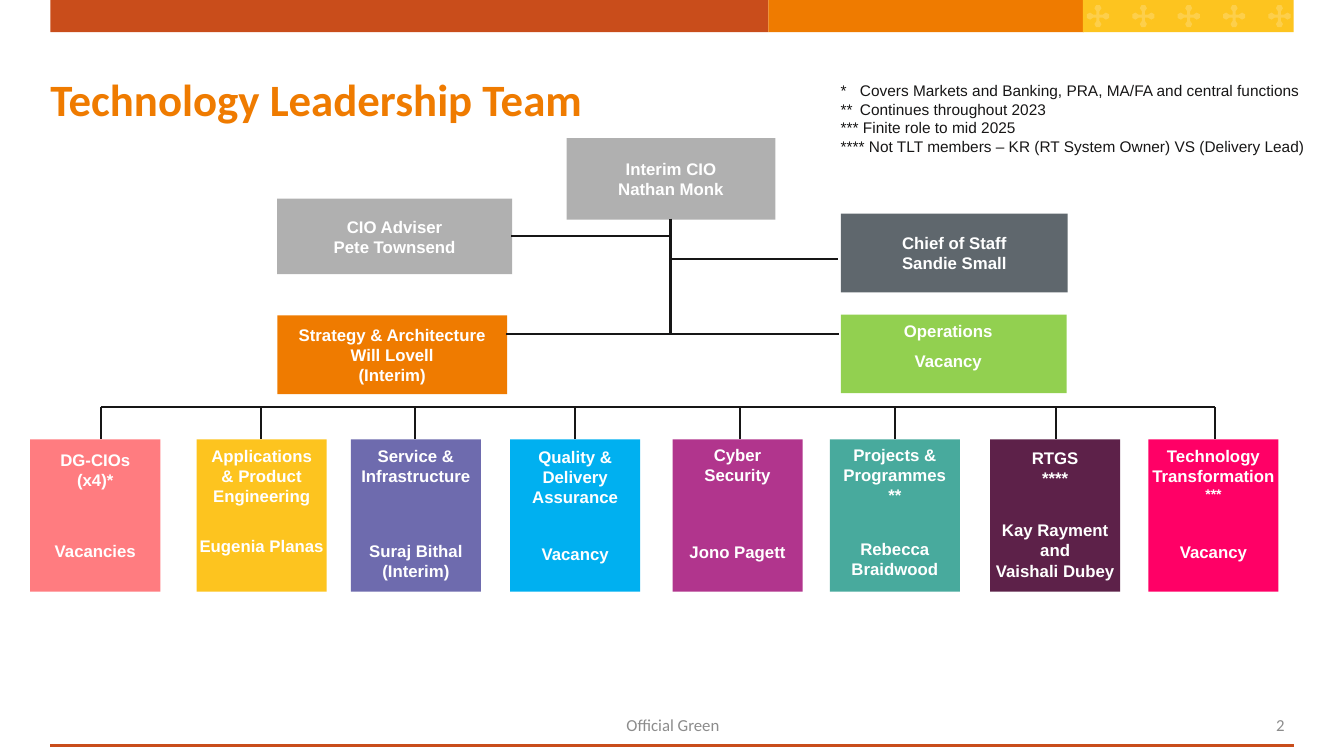
from math import cos, sin, radians
from lxml.etree import SubElement
from pptx import Presentation
from pptx.dml.color import RGBColor
from pptx.enum.shapes import MSO_CONNECTOR, MSO_SHAPE
from pptx.enum.text import MSO_ANCHOR, PP_ALIGN
from pptx.oxml.ns import qn
from pptx.util import Inches, Pt

# Content
TITLE = "Technology Leadership Team"
FOOTER = "Official Green"
NUMBER = "2"
NOTES = [
    "*\tCovers Markets and Banking, PRA, MA/FA and central functions",
    "**\tContinues throughout 2023",
    "*** Finite role to mid 2025",
    "**** Not TLT members – KR (RT System Owner) VS (Delivery Lead)",
]
BANDS = [(0.5, 7.12, "C94D1B"), (7.62, 3.13, "EF7B00"), (10.74, 2.09, "FDC41F")]

# Leaders: left, top, width, height, fill, lines
LEADERS = [
    (5.62, 1.37, 2.07, 0.81, "B0B0B0", ["Interim CIO", "Nathan Monk"]),
    (2.75, 1.97, 2.33, 0.75, "B0B0B0", ["CIO Adviser", "Pete Townsend"]),
    (8.34, 2.12, 2.25, 0.78, "5F676D", ["Chief of Staff", "Sandie Small"]),
    (2.75, 3.13, 2.28, 0.78, "EF7B00",
     ["Strategy & Architecture", "Will Lovell", "(Interim)"]),
]

# Teams: left, drop line, fill, text inset, gap in points, role, names
TEAMS = [
    (0.3, 1.0, "FF7C80", 0.1, 36, ["DG-CIOs", "(x4)*"], ["Vacancies"]),
    (1.95, 2.59, "FDC41F", 0.06, 21,
     ["Applications", "& Product", "Engineering"], ["Eugenia Planas"]),
    (3.48, 4.12, "6E6BAE", 0.06, 39,
     ["Service &", "Infrastructure"], ["Suraj Bithal", "(Interim)"]),
    (5.06, 5.7, "00B0F0", 0.07, 26,
     ["Quality &", "Delivery", "Assurance"], ["Vacancy"]),
    (6.67, 7.34, "B1358D", 0.05, 41, ["Cyber", "Security"], ["Jono Pagett"]),
    (8.23, 8.88, "48AA9D", 0.05, 24,
     ["Projects &", "Programmes", "**"], ["Rebecca", "Braidwood"]),
    (9.82, 10.47, "5D2149", 0.08, 23,
     ["RTGS", "****"], ["Kay Rayment", "and", "Vaishali Dubey"]),
    (11.39, 12.05, "FF0066", 0.06, 28,
     ["Technology", "Transformation", "***"], ["Vacancy"]),
]
TEAM_TOP, TEAM_W, TEAM_H, BUS = 4.36, 1.29, 1.51, 4.04

# Links between the leaders: x1, y1, x2, y2
STEM = 6.65
LINKS = [
    (STEM, 2.17, STEM, 3.31),
    (5.07, 2.34, STEM, 2.34),
    (STEM, 2.57, 8.31, 2.57),
    (5.02, 3.31, 8.32, 3.31),
]

deck = Presentation()
deck.slide_width, deck.slide_height = Inches(13.33), Inches(7.5)
slide = deck.slides.add_slide(deck.slide_layouts[6])
shapes = slide.shapes


def paint(target, color):
    target.solid()
    target.fore_color.rgb = RGBColor.from_string(color)


def write(shape, lines, size, color, font="Arial", bold=False,
          align=PP_ALIGN.LEFT, anchor=MSO_ANCHOR.MIDDLE, inset=(0, 0, 0, 0)):
    frame = shape.text_frame
    frame.word_wrap = True
    frame.vertical_anchor = anchor
    (frame.margin_left, frame.margin_top,
     frame.margin_right, frame.margin_bottom) = map(Inches, inset)
    frame.text = "\n".join(lines)
    for para in frame.paragraphs:
        para.alignment = align
        for run in para.runs:
            run.font.name, run.font.size, run.font.bold = font, Pt(size), bold
            run.font.color.rgb = RGBColor.from_string(color)
    return frame.paragraphs


def label(left, top, width, height, lines, *args, **opts):
    box = shapes.add_textbox(*map(Inches, (left, top, width, height)))
    return write(box, lines, *args, **opts)


def block(left, top, width, height, color):
    box = shapes.add_shape(MSO_SHAPE.RECTANGLE,
                           *map(Inches, (left, top, width, height)))
    box.shadow.inherit = False
    paint(box.fill, color)
    box.line.fill.background()
    return box


def card(box, lines, **opts):
    return write(box, lines, 12, "FFFFFF", bold=True,
                 align=PP_ALIGN.CENTER, **opts)


def rule(x1, y1, x2, y2, color="171616", width=1.5):
    line = shapes.add_connector(MSO_CONNECTOR.STRAIGHT,
                                *map(Inches, (x1, y1, x2, y2)))
    paint(line.line.fill, color)
    line.line.width = Pt(width)
    SubElement(line._element.spPr, qn("a:effectLst"))


def cross(mid_x, mid_y):
    # Four round lobes at the ends of two thin bars
    spots = []
    for turn in range(0, 360, 90):
        c, s = cos(radians(turn)), sin(radians(turn))
        arm = [(0.08 + 0.035 * cos(radians(a)), 0.035 * sin(radians(a)))
               for a in range(-155, 156, 62)] + [(0.015, 0.015)]
        spots += [(Inches(mid_x + x * c - y * s), Inches(mid_y + x * s + y * c))
                  for x, y in arm]
    path = shapes.build_freeform(*spots[0])
    path.add_line_segments(spots[1:], close=True)
    shape = path.convert_to_shape()
    shape.shadow.inherit = False
    paint(shape.fill, "FFFFFF")
    shape.line.fill.background()
    tint = shape._element.spPr.find(qn("a:solidFill"))[0]
    SubElement(tint, qn("a:alpha"), val="20000")


# Header band and footer
for left, width, color in BANDS:
    block(left, 0, width, 0.32, color)
for i in range(5):
    cross(10.89 + 0.45 * i, 0.16)
rule(0.5, 7.4, 12.83, 7.4, "C94D1B", 2.25)
label(3.34, 6.98, 6.67, 0.42, [FOOTER], 12, "8C8C8C", "Calibri",
      align=PP_ALIGN.CENTER)
label(11.67, 6.98, 1.17, 0.42, [NUMBER], 12, "8C8C8C", "Calibri",
      align=PP_ALIGN.RIGHT, inset=(0, 0, 0.1, 0))

# Title and notes
label(0.5, 0.48, 12.33, 1, [TITLE], 32, "EF7B00", "Calibri", True)
notes = label(8.24, 0.76, 4.96, 0.84, NOTES, 11, "171616",
              anchor=MSO_ANCHOR.TOP, inset=(0.1, 0.05, 0, 0.05))
for para in notes[:2]:
    tabs = SubElement(para._p.get_or_add_pPr(), qn("a:tabLst"))
    SubElement(tabs, qn("a:tab"), pos=str(Inches(0.19)), algn="l")

# Leaders
for *place, color, lines in LEADERS:
    card(block(*place, color), lines)
unit = card(block(8.34, 3.12, 2.24, 0.78, "92D050"), ["Operations", "Vacancy"],
            anchor=MSO_ANCHOR.TOP, inset=(0, 0.06, 0.11, 0))
unit[1].space_before = Pt(7)
for link in LINKS:
    rule(*link)

# Teams under one bus line
rule(TEAMS[0][1], BUS, TEAMS[-1][1], BUS)
for left, drop, color, inset, gap, role, names in TEAMS:
    box = block(left, TEAM_TOP, TEAM_W, TEAM_H, color)
    paras = card(box, role + names, anchor=MSO_ANCHOR.TOP,
                 inset=(0, inset, 0, 0))
    paras[len(role)].space_before = Pt(gap)
    if role[-1] == "***":
        paras[len(role) - 1].runs[0].font.size = Pt(10)
    rule(drop, BUS, drop, TEAM_TOP)

deck.save("out.pptx")
